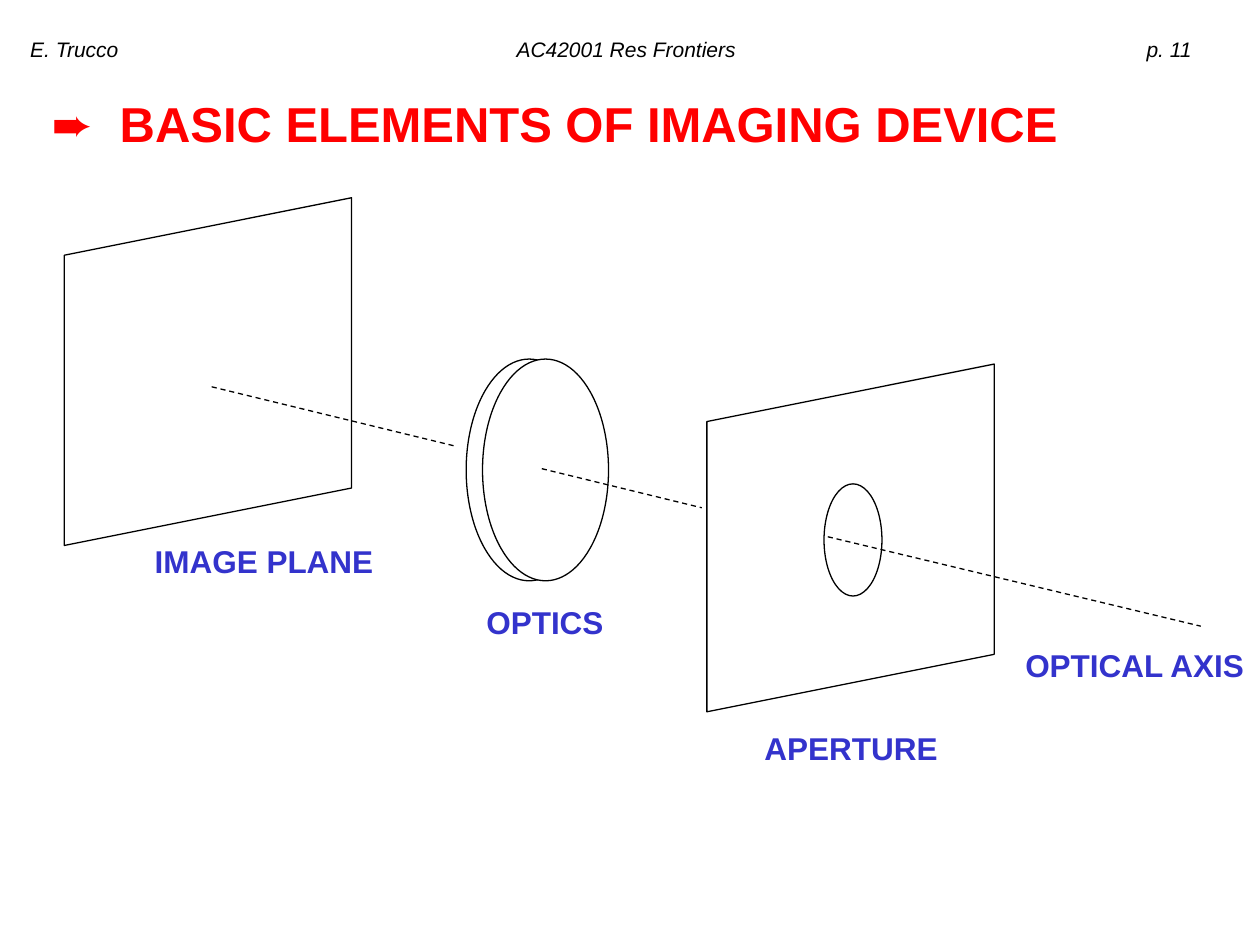
from lxml.etree import SubElement as Sub
from pptx import Presentation
from pptx.dml.color import RGBColor as RGB
from pptx.enum.dml import MSO_LINE as Dash
from pptx.enum.shapes import MSO_CONNECTOR as Conn, MSO_SHAPE as Shape
from pptx.enum.text import MSO_ANCHOR as Anchor, MSO_AUTO_SIZE as Fit, PP_ALIGN as Align
from pptx.oxml.ns import qn
from pptx.util import Inches, Pt

COLORS = {"ink": "000000", "title": "FF0000", "label": "3333CC", "paper": "FFFFFF"}
COLS, ROWS = 100, 75
TEXT = {
    "header": {"size": Pt(12), "italic": True, "bold": False},
    "title": {"size": Pt(28), "italic": False, "bold": True},
    "label": {"size": Pt(18), "italic": False, "bold": True},
}


class Deck:
    def __init__(self):
        self.prs = Presentation()
        self.prs.slide_width, self.prs.slide_height = Inches(10), Inches(7.5)
        self.s = self.prs.slides.add_slide(self.prs.slide_layouts[5])

    def x(self, col):
        return round(self.prs.slide_width * col / COLS)

    def y(self, row):
        return round(self.prs.slide_height * row / ROWS)

    def box(self, col, row, cols, rows):
        return self.x(col), self.y(row), self.x(cols), self.y(rows)

    def fill_text(self, sp, text, style, color, align=Align.LEFT, inset=1, tabs=()):
        """Fill a text shape; tabs are columns from the text's left edge."""
        tf = sp.text_frame
        frame = {"word_wrap": True, "auto_size": Fit.SHAPE_TO_FIT_TEXT,
                 "vertical_anchor": Anchor.TOP, "margin_left": self.x(inset)}
        for name, value in frame.items():
            setattr(tf, name, value)
        p = tf.paragraphs[0]
        p.alignment = align
        if tabs:
            stops = Sub(p._p.get_or_add_pPr(), qn("a:tabLst"))
            for col in tabs:
                Sub(stops, qn("a:tab"), pos=str(self.x(col)), algn="l")
        r = p.add_run()
        r.text = text
        r.font.name = "Arial"
        r.font.color.rgb = RGB.from_string(COLORS[color])
        for name, value in TEXT[style].items():
            setattr(r.font, name, value)

    def title(self, text, place, tabs):
        sp = self.s.shapes.title
        sp.left, sp.top, sp.width, sp.height = self.box(*place)
        self.fill_text(sp, text, "title", "title", tabs=tabs)

    def text(self, text, place, style, color, **options):
        sp = self.s.shapes.add_textbox(*self.box(*place))
        self.fill_text(sp, text, style, color, **options)

    def stroke(self, line):
        line.color.rgb = RGB.from_string(COLORS["ink"])
        line.width = Pt(0.75)

    def outline(self, kind, place, fill=None, parent=None):
        sp = (parent or self.s).shapes.add_shape(kind, *self.box(*place))
        sp.shadow.inherit = False
        if fill:
            sp.fill.solid()
            sp.fill.fore_color.rgb = RGB.from_string(COLORS[fill])
        else:
            sp.fill.background()
        self.stroke(sp.line)
        return sp

    def plane(self, col, row):
        """A parallelogram stood on end, seen in perspective."""
        sp = self.outline(Shape.PARALLELOGRAM, (col, row, 27.6, 22.8))
        sp.adjustments[0] = 0.2
        sp.rotation = 270
        sp._element.spPr.find(qn("a:xfrm")).set("flipV", "1")

    def lens(self, col, row, thickness):
        group = self.s.shapes.add_group_shape()
        for shift, fill in ((0, None), (thickness, "paper")):
            self.outline(Shape.OVAL, (col + shift, row, 10, 17.6), fill, group)

    def axis(self, x1, y1, x2, y2):
        line = self.s.shapes.add_connector(
            Conn.STRAIGHT, self.x(x1), self.y(y1), self.x(x2), self.y(y2))
        self.stroke(line.line)
        line.line.dash_style = Dash.DASH
        Sub(line._element.spPr, qn("a:effectLst"))


def main():
    deck = Deck()

    # Running header and title
    deck.text("E. Trucco\tAC42001 Res Frontiers\tp. 11", (0, 2.4, 100, 5),
              "header", "ink", inset=2.4, tabs=(38.6, 88.6))
    deck.title("➨\tBASIC ELEMENTS OF IMAGING DEVICE", (3.1, 6.9, 92.5, 5.7), tabs=(5.4,))

    # Image plane, optics and aperture
    deck.plane(2.7, 18.1)
    deck.lens(37, 28.5, 1.3)
    deck.plane(53.7, 31.3)
    deck.outline(Shape.OVAL, (65.4, 38.4, 4.6, 8.9))

    # Visible stretches of the optical axis
    for ends in ((43, 37.2, 55.7, 40.3), (16.8, 30.7, 36.1, 35.4), (65.7, 42.6, 95.3, 49.7)):
        deck.axis(*ends)

    # Labels
    for text, col, row in (("IMAGE PLANE", 11, 42.5), ("OPTICS", 33.3, 47.4),
                           ("APERTURE", 57.6, 57.4), ("OPTICAL AXIS", 80.1, 50.8)):
        deck.text(text, (col, row, 19.9, 4), "label", "label", align=Align.CENTER)

    deck.prs.save("out.pptx")


if __name__ == "__main__":
    main()
